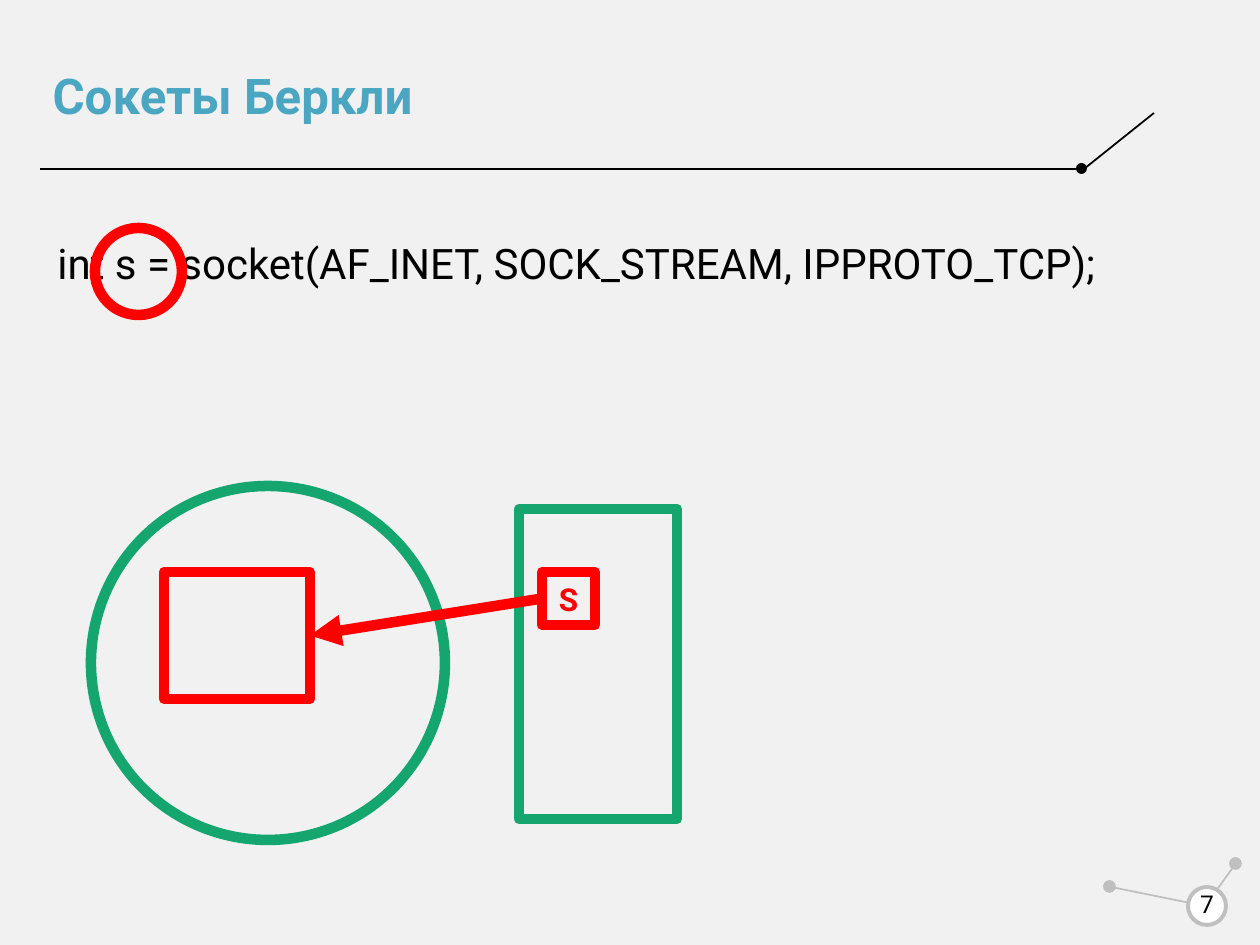
import dataclasses

import pptx
import pptx.dml.color
import pptx.enum.shapes
import pptx.enum.text
import pptx.oxml
import pptx.oxml.ns
import pptx.util

SCALE = 914400 / 126  # EMU in one px
SHAPES = pptx.enum.shapes.MSO_SHAPE
ALIGN = pptx.enum.text.PP_ALIGN
ANCHOR = pptx.enum.text.MSO_ANCHOR


@dataclasses.dataclass(frozen=True)
class Theme:
    font: str = "Roboto"
    background: str = "F1F1F1"
    title: str = "4BA6C1"
    ink: str = "000000"
    paper: str = "FFFFFF"
    muted: str = "BFBFBF"
    accent: str = "FF0000"
    frame: str = "15A66F"
    title_size: float = 28.1
    code_size: int = 24
    label_size: int = 18
    number_size: int = 14
    hairline: int = 1
    ring: float = 2.25
    heavy: int = 6


THEME = Theme()


def emu(px):
    return pptx.util.Emu(round(px * SCALE))


def rgb(value):
    return pptx.dml.color.RGBColor.from_string(value)


def within(box, left, top, width, height):
    return [emu(v) for v in (box[0] + left, box[1] + top, width, height)]


def set_all(target, values):
    for name, value in values.items():
        setattr(target, name, value)


def write(shape, text, size, color, bold=False, align=ALIGN.LEFT,
          anchor=ANCHOR.MIDDLE, wrap=True):
    frame = shape.text_frame
    frame.text = text
    set_all(frame, {
        "word_wrap": wrap, "vertical_anchor": anchor,
        "auto_size": pptx.enum.text.MSO_AUTO_SIZE.NONE,
        "margin_left": pptx.util.Inches(0.1), "margin_right": pptx.util.Inches(0.1),
        "margin_top": pptx.util.Inches(0.05), "margin_bottom": pptx.util.Inches(0.05),
    })
    paragraph = frame.paragraphs[0]
    paragraph.alignment = align
    font = paragraph.runs[0].font
    set_all(font, {"name": THEME.font, "size": pptx.util.Pt(size), "bold": bold})
    font.color.rgb = rgb(color)


def add_outline(slide, kind, position, line=None, width=THEME.heavy, fill=None):
    shape = slide.shapes.add_shape(kind, *position)
    shape.shadow.inherit = False
    if fill:
        shape.fill.solid()
        shape.fill.fore_color.rgb = rgb(fill)
    else:
        shape.fill.background()
    if line:
        shape.line.color.rgb = rgb(line)
        shape.line.width = pptx.util.Pt(width)
    else:
        shape.line.fill.background()
    return shape


def add_line(slide, box, start, end, color, width=THEME.hairline):
    points = [emu(box[i] + point[i]) for point in (start, end) for i in (0, 1)]
    line = slide.shapes.add_connector(
        pptx.enum.shapes.MSO_CONNECTOR.STRAIGHT, *points)
    line.line.color.rgb = rgb(color)
    line.line.width = pptx.util.Pt(width)
    properties = line._element.spPr
    properties.append(pptx.oxml.parse_xml(
        f"<a:effectLst {pptx.oxml.ns.nsdecls('a')}/>"))
    return line


def add_header(slide, box, text):
    # Rule that ends in a dot and a rising stroke
    add_line(slide, box, (0, 134), (1036, 134), THEME.ink)
    add_outline(slide, SHAPES.OVAL, within(box, 1036, 128, 11, 11), fill=THEME.ink)
    add_line(slide, box, (1044, 134), (1114, 78), THEME.ink)
    # Title
    title = slide.shapes.title
    set_all(title, dict(zip(("left", "top", "width", "height"),
                            within(box, 0, 0, 1036, 120))))
    write(title, text, THEME.title_size, THEME.title, bold=True)


def add_page_number(slide, box, number):
    # Two small nodes linked to the number ring
    for left, top, start, end in ((126, 0, (130, 8), (112, 33)),
                                  (0, 23, (7, 29), (96, 47))):
        add_outline(slide, SHAPES.OVAL, within(box, left, top, 11, 11),
                    THEME.muted, THEME.hairline, THEME.muted)
        add_line(slide, box, start, end, THEME.muted)
    add_outline(slide, SHAPES.OVAL, within(box, 84, 29, 38, 38),
                THEME.muted, THEME.ring, THEME.paper)
    label = slide.shapes.add_textbox(*within(box, 77, 21, 52, 50))
    write(label, number, THEME.number_size, THEME.ink, align=ALIGN.CENTER)


def add_code(slide, box, text):
    code = slide.shapes.add_textbox(*within(box, 0, 0, 1177, 63))
    write(code, text, THEME.code_size, THEME.ink, anchor=ANCHOR.TOP, wrap=False)
    # Ring around the variable
    add_outline(slide, SHAPES.OVAL, within(box, 50, -3, 87, 87), THEME.accent)


def add_diagram(slide, box):
    # Circle with the socket, and the process memory block
    add_outline(slide, SHAPES.OVAL, within(box, 0, 0, 354, 354), THEME.frame)
    socket = add_outline(slide, SHAPES.RECTANGLE,
                         within(box, 73, 86, 146, 127), THEME.accent)
    add_outline(slide, SHAPES.RECTANGLE, within(box, 428, 23, 158, 310), THEME.frame)
    variable = add_outline(slide, SHAPES.RECTANGLE,
                           within(box, 451, 86, 53, 53), THEME.accent)
    write(variable, "S", THEME.label_size, THEME.accent, bold=True,
          align=ALIGN.CENTER)
    # Arrow from the variable to the socket
    arrow = add_line(slide, box, (451, 112), (219, 149), THEME.accent, THEME.heavy)
    arrow.begin_connect(variable, 1)
    arrow.end_connect(socket, 3)
    arrow.line._get_or_add_ln().append(pptx.oxml.parse_xml(
        f"<a:tailEnd {pptx.oxml.ns.nsdecls('a')} type='triangle'/>"))


def main():
    presentation = pptx.Presentation()
    set_all(presentation, {"slide_width": emu(1260), "slide_height": emu(945)})
    slide = presentation.slides.add_slide(presentation.slide_layouts[5])
    slide.background.fill.solid()
    slide.background.fill.fore_color.rgb = rgb(THEME.background)
    add_header(slide, (40, 35), "Сокеты Беркли")
    add_page_number(slide, (1104, 858), "7")
    add_code(slide, (45, 231), "int s = socket(AF_INET, SOCK_STREAM, IPPROTO_TCP);")
    add_diagram(slide, (91, 486))
    presentation.save("out.pptx")


if __name__ == "__main__":
    main()
